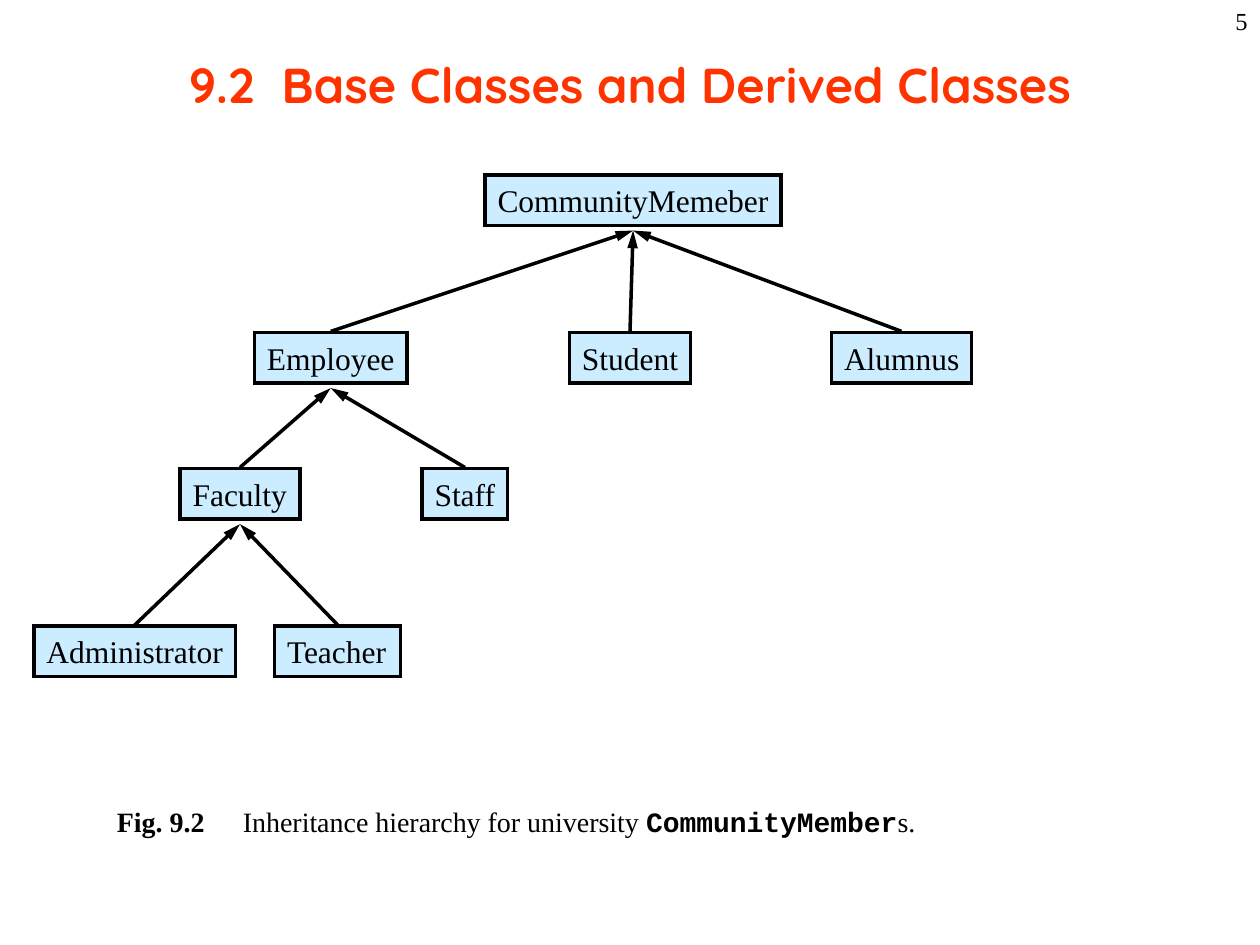
from collections import namedtuple

from lxml import etree
from pptx import Presentation, util as u
from pptx.dml.color import RGBColor
from pptx.enum import shapes, text
from pptx.oxml import ns

Box = namedtuple("Box", "left top width height")
Style = namedtuple("Style", "font size color bold", defaults=("000000", False))
Member = namedtuple("Member", "name left row width parent")

SERIF = "Times New Roman"
COLUMN = ROW = u.Inches(0.01)
NODE_HEIGHT = 40
LEVEL_ROWS = (0, 125, 233, 358)
MEMBERS = (
    Member("CommunityMemeber", 358, 0, 235, None),
    Member("Employee", 175, 1, 121, "CommunityMemeber"),
    Member("Student", 425, 1, 96, "CommunityMemeber"),
    Member("Alumnus", 633, 1, 111, "CommunityMemeber"),
    Member("Faculty", 116, 2, 95, "Employee"),
    Member("Staff", 308, 2, 68, "Employee"),
    Member("Administrator", 0, 3, 160, "Faculty"),
    Member("Teacher", 191, 3, 100, "Faculty"),
)


def color(value):
    """Turn a hex string into a colour."""
    return RGBColor.from_string(value)


def place(box):
    """Turn a box in grid columns and rows into slide lengths."""
    return box.left * COLUMN, box.top * ROW, box.width * COLUMN, box.height * ROW


def add_run(paragraph, words, style):
    """Append one styled run to a paragraph."""
    run = paragraph.add_run()
    run.text = words
    run.font.name = style.font
    run.font.size = u.Pt(style.size)
    run.font.bold = style.bold
    run.font.color.rgb = color(style.color)


def add_text(slide, box, runs, alignment=text.PP_ALIGN.LEFT, anchor=text.MSO_ANCHOR.TOP):
    """Add a wrapping text box and return its paragraph."""
    frame = slide.shapes.add_textbox(*place(box)).text_frame
    frame.word_wrap = True
    frame.vertical_anchor = anchor
    paragraph = frame.paragraphs[0]
    paragraph.alignment = alignment
    for words, style in runs:
        add_run(paragraph, words, style)
    return paragraph


def add_title(slide, box):
    """Place the centred section heading."""
    style = Style("Quicksand", 28, "FF3300", True)
    runs = [("9.2  Base Classes and Derived Classes", style)]
    add_text(slide, box, runs, text.PP_ALIGN.CENTER, text.MSO_ANCHOR.MIDDLE)


def add_caption(slide, box):
    """Place the figure caption with its tab stop."""
    plain = Style(SERIF, 16)
    paragraph = add_text(slide, box, [
        ("Fig. 9.2\t", plain._replace(bold=True)),
        ("Inheritance hierarchy for university ", plain),
        ("CommunityMember", Style("Courier New", 16, bold=True)),
        ("s.", plain),
    ])
    properties = paragraph._p.get_or_add_pPr()
    tabs = etree.SubElement(properties, ns.qn("a:tabLst"))
    etree.SubElement(tabs, ns.qn("a:tab"), pos=str(u.Inches(1)), algn="l")


def add_page_number(slide, box):
    """Place the page number at the right edge."""
    add_text(slide, box, [("5", Style(SERIF, 14))], text.PP_ALIGN.RIGHT)


def draw_line(line):
    """Give a line its colour, width and sharp corners, and return its element."""
    line.color.rgb = color("000000")
    line.width = u.Pt(2)
    element = line._get_or_add_ln()
    etree.SubElement(element, ns.qn("a:miter"), lim="800000")
    return element


def add_node(slide, box, name):
    """Draw one class of the hierarchy."""
    node = slide.shapes.add_shape(shapes.MSO_SHAPE.RECTANGLE, *place(box))
    node.shadow.inherit = False
    node.fill.solid()
    node.fill.fore_color.rgb = color("CCECFF")
    draw_line(node.line)
    frame = node.text_frame
    frame.word_wrap = False
    frame.auto_size = text.MSO_AUTO_SIZE.NONE
    frame.margin_right = u.Inches(0.05)
    frame.vertical_anchor = text.MSO_ANCHOR.TOP
    paragraph = frame.paragraphs[0]
    paragraph.alignment = text.PP_ALIGN.LEFT
    add_run(paragraph, name, Style(SERIF, 18))


def add_arrow(slide, child, parent):
    """Draw an arrow from the top of a child to just below its parent."""
    arrow = slide.shapes.add_connector(
        shapes.MSO_CONNECTOR.STRAIGHT,
        round((child.left + child.width / 2) * COLUMN), (child.top - 1) * ROW,
        round((parent.left + parent.width / 2) * COLUMN),
        (parent.top + parent.height + 4) * ROW)
    line = draw_line(arrow.line)
    etree.SubElement(line, ns.qn("a:tailEnd"), type="triangle", w="med", len="lg")
    etree.SubElement(arrow._element.spPr, ns.qn("a:effectLst"))


def add_hierarchy(slide, area):
    """Place the class tree relative to the area's corner."""
    boxes = {
        member.name: Box(area.left + member.left, area.top + LEVEL_ROWS[member.row],
                         member.width, NODE_HEIGHT)
        for member in MEMBERS
    }
    for name, box in boxes.items():
        add_node(slide, box, name)
    for member in MEMBERS:
        if member.parent:
            add_arrow(slide, boxes[member.name], boxes[member.parent])


def main():
    """Build and save the presentation."""
    presentation = Presentation()
    presentation.slide_width = 1000 * COLUMN
    presentation.slide_height = 750 * ROW
    slide = presentation.slides.add_slide(presentation.slide_layouts[6])
    add_title(slide, Box(75, 8, 850, 117))
    add_caption(slide, Box(83, 634, 850, 37))
    add_hierarchy(slide, Box(27, 139, 744, 398))
    add_page_number(slide, Box(792, 0, 208, 50))
    presentation.save("out.pptx")


if __name__ == "__main__":
    main()
